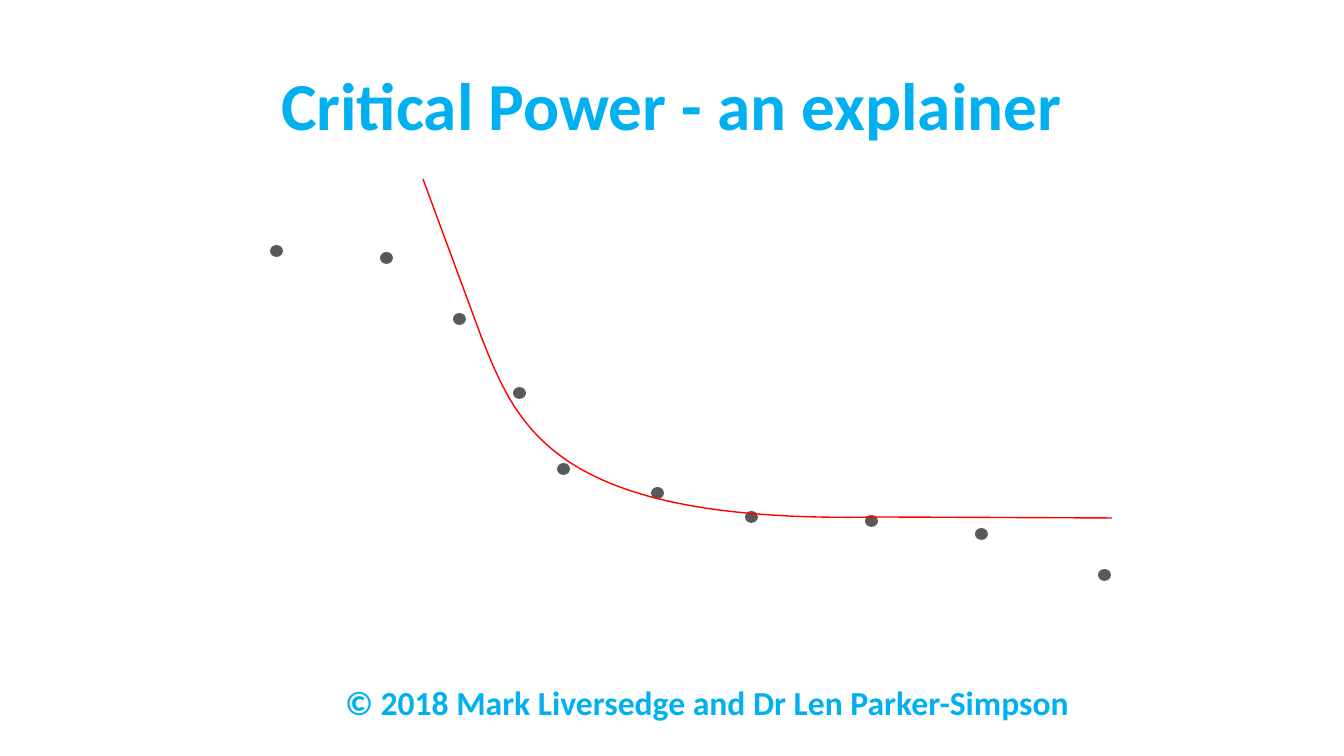
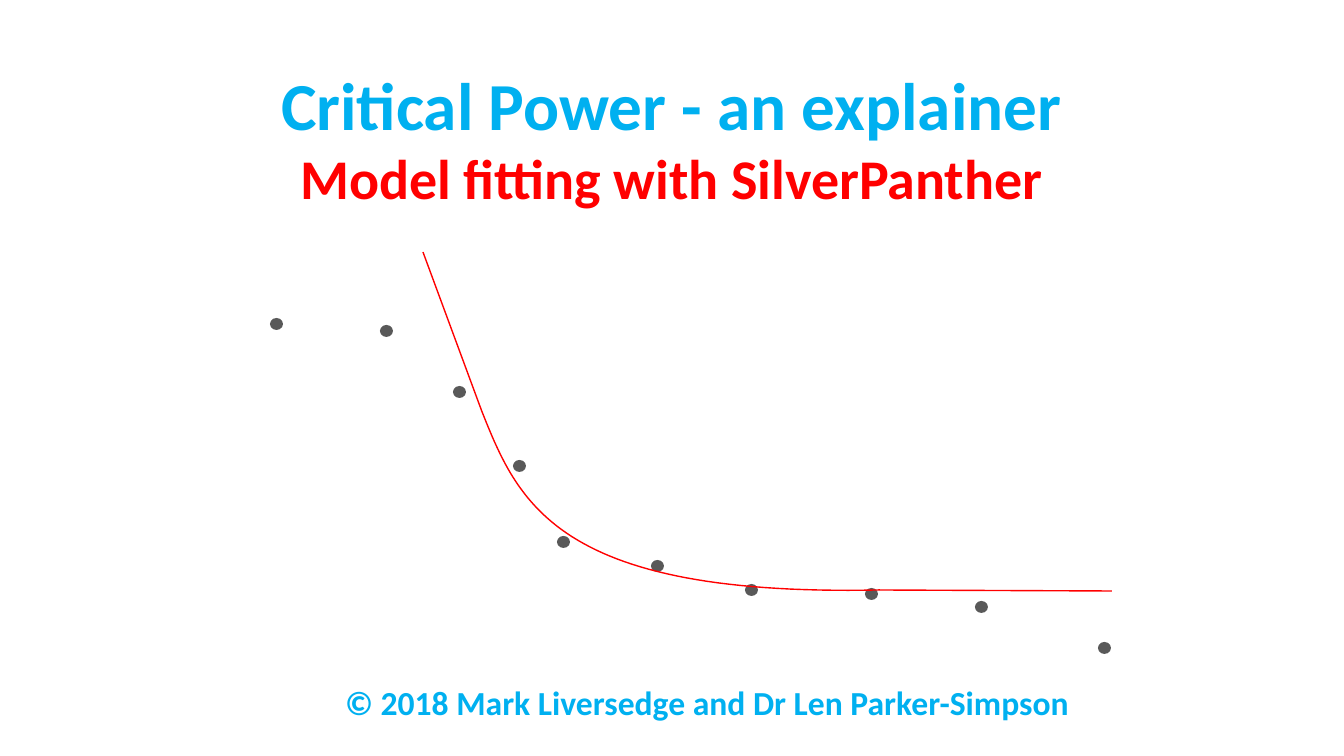
from pptx import Presentation
from pptx import util as u
from pptx.dml.color import RGBColor
from pptx.enum import shapes, text
from lxml import etree

COLOURS = {"blue": "00B0F0", "red": "FF0000", "grey": "595959"}
FONT = "Calibri"
SCALE = 914400 / 100.8  # EMU in one pixel
SLIDE_SIZE = (1344, 756)

TITLE = ("Critical Power - an explainer", 48, "blue")
SUBTITLE = ("Model fitting with SilverPanther", 40, "red")
CREDIT = ("© 2018 Mark Liversedge and Dr Len Parker-Simpson", 24, "blue")

# Power-duration plot: top left corners of the efforts, and the fitted curve
EFFORTS = [(270, 245), (380, 252), (453, 313), (513, 387), (557, 463),
           (651, 487), (745, 511), (865, 515), (975, 528), (1098, 569)]
EFFORT_SIZE = (13, 12)
STEEP_START, BEND_START = (423, 179), (481, 336)
BEND_CONTROLS = (518, 429), (555, 524)
BEND_END, FLAT_END = (880, 517), (1112, 518)
BEND_STEPS = 60
PLOT_DROP = 73  # how far the plot moves down to make room for a subtitle


def px(length):
    return u.Emu(round(length * SCALE))


def rgb(name):
    return RGBColor.from_string(COLOURS[name])


def add_text(slide, left, top, width, height, lines):
    box = slide.shapes.add_textbox(px(left), px(top), px(width), px(height))
    frame = box.text_frame
    frame.word_wrap = True
    frame.auto_size = text.MSO_AUTO_SIZE.SHAPE_TO_FIT_TEXT
    frame.text = "\n".join(wording for wording, _, _ in lines)
    for paragraph, (_, size, colour) in zip(frame.paragraphs, lines):
        paragraph.alignment = text.PP_ALIGN.CENTER
        font = paragraph.runs[0].font
        font.name, font.size, font.bold = FONT, u.Pt(size), True
        font.color.rgb = rgb(colour)


def add_effort(slide, left, top):
    width, height = EFFORT_SIZE
    effort = slide.shapes.add_shape(shapes.MSO_SHAPE.OVAL, px(left), px(top),
                                    px(width), px(height))
    effort.shadow.inherit = False
    effort.fill.solid()
    effort.fill.fore_color.rgb = rgb("grey")
    effort.line.fill.background()


def style_fit(line):
    line.color.rgb = rgb("red")
    line.width = u.Pt(1)


def add_straight(slide, start, end, drop):
    straight = slide.shapes.add_connector(
        shapes.MSO_CONNECTOR.STRAIGHT, px(start[0]), px(start[1] + drop),
        px(end[0]), px(end[1] + drop))
    style_fit(straight.line)
    properties = straight._element.spPr
    etree.SubElement(properties, "{%s}effectLst" % properties.nsmap["a"])


def bezier(t, *points):
    """Point at t on the cubic curve through four control points."""
    weights = ((1 - t) ** 3, 3 * t * (1 - t) ** 2, 3 * t ** 2 * (1 - t), t ** 3)
    return tuple(sum(w * p[axis] for w, p in zip(weights, points))
                 for axis in (0, 1))


def add_bend(slide, drop):
    track = [bezier(step / BEND_STEPS, BEND_START, *BEND_CONTROLS, BEND_END)
             for step in range(BEND_STEPS + 1)]
    track = [(px(x), px(y + drop)) for x, y in track]
    builder = slide.shapes.build_freeform(*track[0])
    builder.add_line_segments(track[1:], close=False)
    bend = builder.convert_to_shape()
    bend.shadow.inherit = False
    bend.fill.background()
    style_fit(bend.line)


def add_plot(slide, drop):
    for left, top in EFFORTS:
        add_effort(slide, left, top + drop)
    add_bend(slide, drop)
    add_straight(slide, BEND_START, STEEP_START, drop)
    add_straight(slide, BEND_END, FLAT_END, drop)


def add_cover(deck, headings, title_height, drop):
    slide = deck.slides.add_slide(deck.slide_layouts[6])
    add_text(slide, 165, 58, 1013, title_height, headings)
    add_text(slide, 100, 677, 1214, 92, [CREDIT])
    add_plot(slide, drop)


def main():
    deck = Presentation()
    deck.slide_width, deck.slide_height = map(px, SLIDE_SIZE)
    # Opening slide
    add_cover(deck, [TITLE], 92, 0)
    # Opening slide of the model fitting part
    add_cover(deck, [TITLE, SUBTITLE], 159, PLOT_DROP)
    deck.save("out.pptx")


main()
